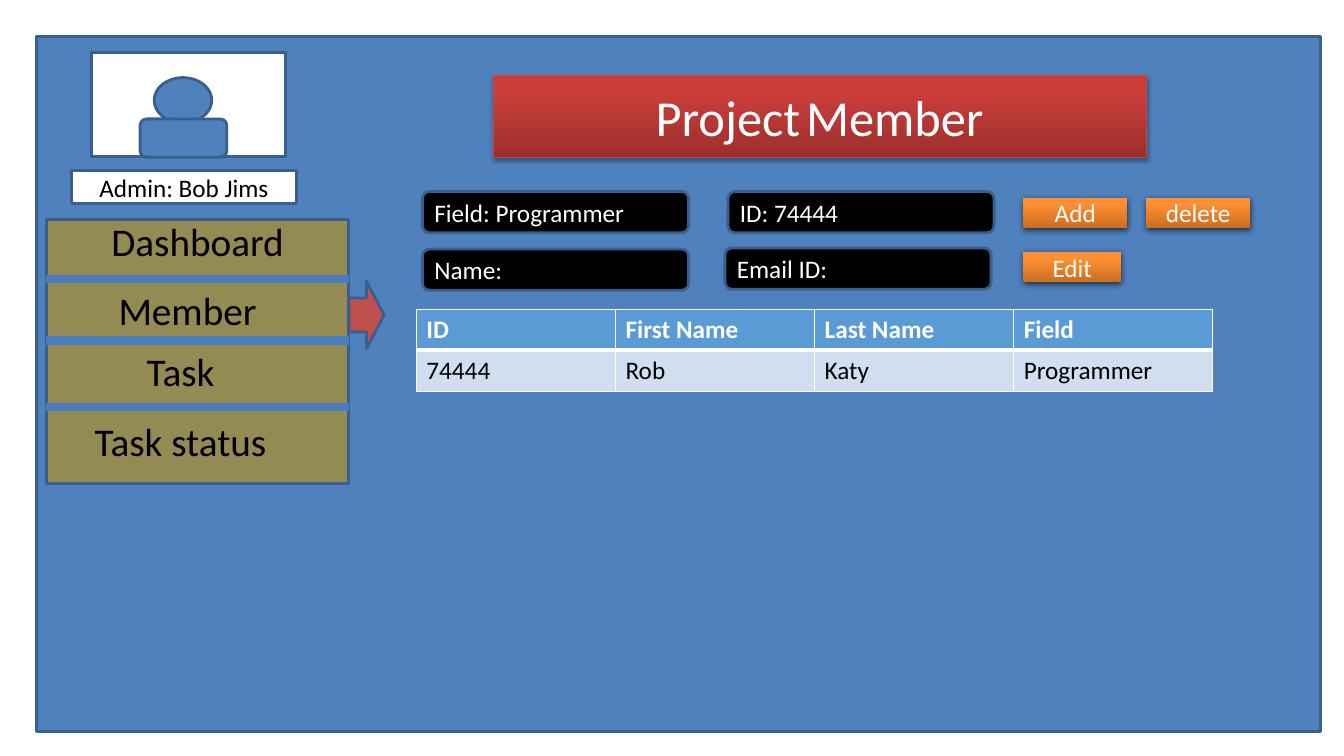
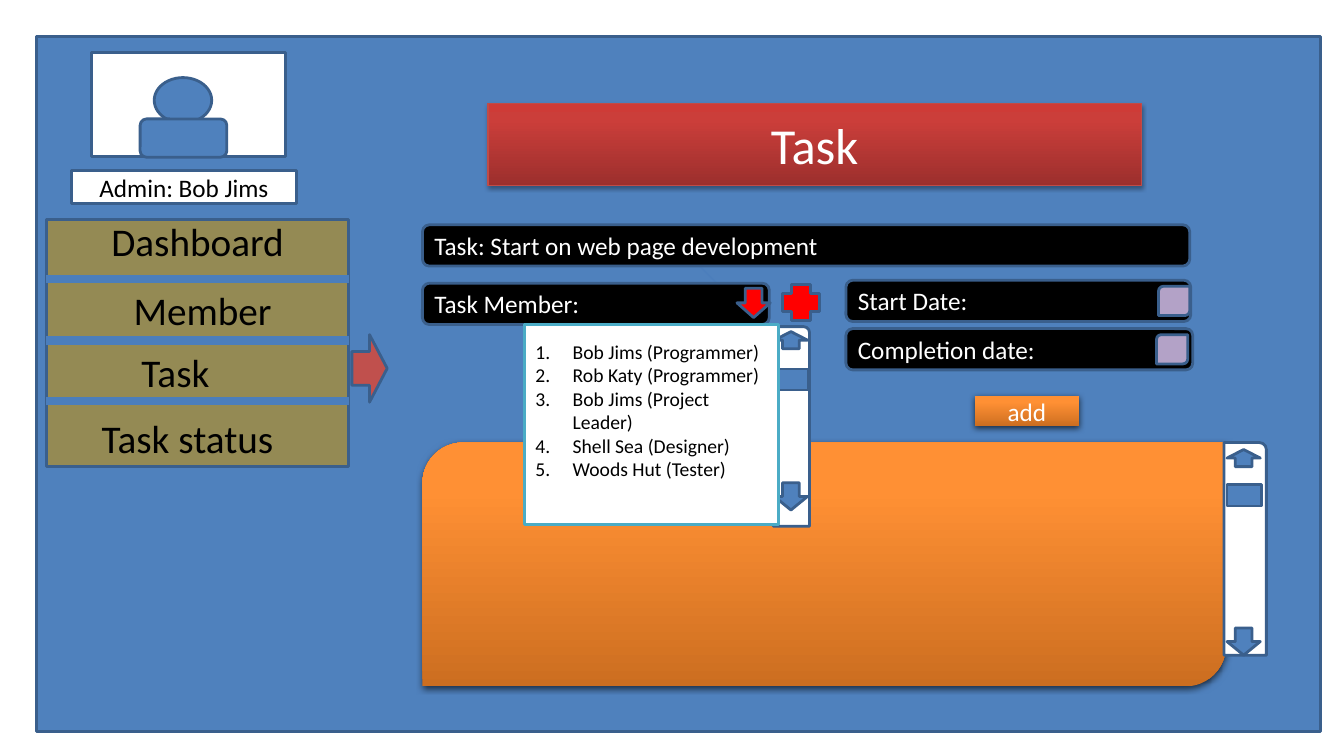
import copy

import lxml.etree
import pptx
import pptx.dml.color
import pptx.enum.shapes
import pptx.enum.text
import pptx.oxml.ns
import pptx.util

Inches, Pt = pptx.util.Inches, pptx.util.Pt
SHAPE = pptx.enum.shapes.MSO_SHAPE
ALIGN = pptx.enum.text.PP_ALIGN
ANCHOR = pptx.enum.text.MSO_ANCHOR
qn = pptx.oxml.ns.qn


class Theme:
    font = "Calibri"
    title_size, menu_size, text_size, list_size = 36, 28, 18, 14
    blue, outline, divider = "4F81BD", "3A5F8C", "4B7EBC"
    olive, pointer, red, lilac = "948A54", "C0504D", "FF0000", "B3A2C7"
    black, white = "000000", "FFFFFF"
    list_edge, banner_edge = "4BACC6", "BF4C48"
    table_head, table_row = "5B9BD5", "D1DEEF"
    # gradients run from bottom to top
    banner = ((0, "9C2F2D"), (0.8, "CB3E3A"), (1, "CE3B37"))
    orange = ((0, "CC6E20"), (0.8, "FF9034"), (1, "FF9136"))
    # alpha %, blur pt, distance pt
    banner_shadow, orange_shadow = (35, 3.1, 1.8), (63, 4.5, 1.5)
    outline_width = 2


ADMIN = "Admin: Bob Jims"
FAINT_LINES = [(4.63, 5.22, 5.15, 4.81), (6.81, 2.51, 7.81, 3.51)]
MENU_LEFT, MENU_TOP, MENU_WIDTH = 0.46, 2.18, 3
LABEL_HEIGHT, FIELD_HEIGHT, BUTTON_HEIGHT = 0.57, 0.41, 0.3

MEMBER_PAGE = {
    "title": [("Project", Theme.title_size), (" ", Theme.text_size), ("Member", Theme.title_size)],
    "banner": (4.89, 0.75, 6.48, 0.81),
    "menu_height": 2.62,
    "menu": [("Dashboard", 0.71, 2.11, 2.5), ("Member", 0.61, 2.79, 2.5),
             ("Task", 0.54, 3.4, 2.5), ("Task status", 0.54, 4.09, 2.5)],
    "dividers": [2.77, 3.38, 4.04],
    "pointer": (3.46, 2.79),
    "fields": [("Name:", 4.19, 2.47, 2.64), ("Field: Programmer", 4.19, 1.9, 2.64),
               ("Email ID:", 7.19, 2.46, 2.64), ("ID: 74444", 7.22, 1.9, 2.64)],
    "buttons": [("Edit", 10.15, 2.5, 0.97), ("delete", 11.37, 1.96, 1.03),
                ("Add", 10.15, 1.96, 1.03)],
}
MEMBERS = [("ID", "First Name", "Last Name", "Field"),
           ("74444", "Rob", "Katy", "Programmer")]

TASK_PAGE = {
    "title": [("Task", Theme.title_size)],
    "banner": (4.84, 1.03, 6.48, 0.81),
    "menu_height": 2.45,
    "menu": [("Dashboard", 0.71, 2.11, 2.5), ("Member", 0.61, 2.79, 2.8),
             ("Task", 0.49, 3.41, 2.5), ("Task status", 0.61, 4.06, 2.5)],
    "dividers": [2.77, 3.38, 3.98],
    "pointer": (3.49, 3.32),
    "fields": [("Task: Start on web page development", 4.19, 2.23, 7.61),
               ("Start Date:", 8.39, 2.78, 3.42), ("Task Member:", 4.19, 2.81, 3.44),
               ("Completion date:", 8.39, 3.26, 3.44)],
    "buttons": [("add", 9.67, 3.93, 1.03)],
}
CANDIDATES = ["Bob Jims (Programmer)", "Rob Katy (Programmer)", "Bob Jims (Project Leader)",
              "Shell Sea (Designer)", "Woods Hut (Tester)"]
CONTROLS = [(SHAPE.DOWN_ARROW, (7.31, 2.86, 0.33, 0.29), Theme.red),
            (SHAPE.CROSS, (7.76, 2.82, 0.37, 0.36), Theme.red),
            (SHAPE.ROUND_2_DIAG_RECTANGLE, (11.49, 2.84, 0.31, 0.29), Theme.lilac),
            (SHAPE.ROUND_2_DIAG_RECTANGLE, (11.47, 3.32, 0.31, 0.29), Theme.lilac)]


def rgb(code):
    return pptx.dml.color.RGBColor.from_string(code)


def inches(values):
    return [Inches(value) for value in values]


def write(paragraph, text, size, color, bold=False):
    run = paragraph.add_run()
    run.text = text
    run.font.name, run.font.size, run.font.bold = Theme.font, Pt(size), bold
    run.font.color.rgb = rgb(color)


def paint(shape, fill, line=None, width=Theme.outline_width, shadow=None):
    """Fill with one colour or with gradient stops; line and shadow are optional."""
    shape.shadow.inherit = False
    if isinstance(fill, str):
        shape.fill.solid()
        shape.fill.fore_color.rgb = rgb(fill)
    else:
        shape.fill.gradient()
        shape.fill.gradient_angle = 90
        stops = shape.element.spPr.find(".//" + qn("a:gsLst"))
        stops.append(copy.deepcopy(stops[-1]))
        for stop, (position, color) in zip(shape.fill.gradient_stops, fill):
            stop.position, stop.color.rgb = position, rgb(color)
    if line:
        shape.line.color.rgb = rgb(line)
        shape.line.width = Pt(width)
    else:
        shape.line.fill.background()
    if shadow:
        alpha, blur, distance = shadow
        effects = shape.element.spPr.find(qn("a:effectLst"))
        outer = lxml.etree.SubElement(effects, qn("a:outerShdw"), blurRad=str(Pt(blur)),
                                      dist=str(Pt(distance)), dir="5400000", rotWithShape="0")
        color = lxml.etree.SubElement(outer, qn("a:srgbClr"), val=Theme.black)
        lxml.etree.SubElement(color, qn("a:alpha"), val=str(alpha * 1000))


def add_box(slide, kind, at, fill, line=Theme.outline, shadow=None,
            text="", color=Theme.white, align=ALIGN.CENTER):
    box = slide.shapes.add_shape(kind, *inches(at))
    paint(box, fill, line, shadow=shadow)
    if text:
        box.text_frame.word_wrap = True
        box.text_frame.vertical_anchor = ANCHOR.MIDDLE
        box.text_frame.paragraphs[0].alignment = align
        write(box.text_frame.paragraphs[0], text, Theme.text_size, color)


def add_line(slide, ends, width):
    line = slide.shapes.add_connector(pptx.enum.shapes.MSO_CONNECTOR.STRAIGHT, *inches(ends))
    line.line.color.rgb = rgb(Theme.divider)
    line.line.width = Pt(width)
    lxml.etree.SubElement(line.element.spPr, qn("a:effectLst"))


def place(holder, at, anchor):
    """Move a placeholder to its spot, in front of everything drawn so far."""
    holder.left, holder.top, holder.width, holder.height = inches(at)
    holder.element.getparent().append(holder.element)
    holder.text_frame.word_wrap = True
    holder.text_frame.auto_size = pptx.enum.text.MSO_AUTO_SIZE.NONE
    holder.text_frame.vertical_anchor = anchor


def add_title(slide, page):
    title = slide.shapes.title
    place(title, page["banner"], ANCHOR.MIDDLE)
    outline = lxml.etree.Element(qn("a:prstGeom"), prst="roundRect")
    lxml.etree.SubElement(outline, qn("a:avLst"))
    title.element.spPr.find(qn("a:xfrm")).addnext(outline)
    paint(title, Theme.banner, Theme.banner_edge, 0.75, Theme.banner_shadow)
    heading = title.text_frame.paragraphs[0]
    heading.alignment = ALIGN.CENTER
    for text, size in page["title"]:
        write(heading, text, size, Theme.white)


def add_menu(slide, page):
    add_box(slide, SHAPE.RECTANGLE, (MENU_LEFT, MENU_TOP, MENU_WIDTH, page["menu_height"]),
            Theme.olive)
    for text, left, top, width in page["menu"]:
        label = slide.shapes.add_textbox(*inches((left, top, width, LABEL_HEIGHT)))
        label.text_frame.word_wrap = True
        label.text_frame.paragraphs[0].alignment = ALIGN.CENTER
        write(label.text_frame.paragraphs[0], text, Theme.menu_size, Theme.black)
    for y in page["dividers"]:
        add_line(slide, (MENU_LEFT, y, MENU_LEFT + MENU_WIDTH, y), 6)
    add_box(slide, SHAPE.RIGHT_ARROW, (*page["pointer"], 0.35, 0.67), Theme.pointer)


def add_admin(slide):
    add_box(slide, SHAPE.RECTANGLE, (0.91, 0.52, 1.92, 1.03), Theme.white)
    add_box(slide, SHAPE.OVAL, (1.53, 0.77, 0.57, 0.45), Theme.blue)
    add_box(slide, SHAPE.ROUNDED_RECTANGLE, (1.39, 1.18, 0.86, 0.38), Theme.blue)
    add_box(slide, SHAPE.RECTANGLE, (0.71, 1.69, 2.23, 0.33), Theme.white,
            text=ADMIN, color=Theme.black)


def add_page(deck, layout, page):
    """Draw what both screens have: panel, menu, admin, title, fields and buttons."""
    slide = deck.slides.add_slide(deck.slide_layouts.get_by_name(layout))
    add_box(slide, SHAPE.RECTANGLE, (0.36, 0.36, 12.74, 6.9), Theme.blue)
    add_menu(slide, page)
    add_admin(slide)
    for ends in FAINT_LINES:
        add_line(slide, ends, 0.75)
    add_title(slide, page)
    for text, left, top, width in page["fields"]:
        add_box(slide, SHAPE.ROUNDED_RECTANGLE, (left, top, width, FIELD_HEIGHT), Theme.black,
                text=text, align=ALIGN.LEFT)
    for text, left, top, width in page["buttons"]:
        add_box(slide, SHAPE.RECTANGLE, (left, top, width, BUTTON_HEIGHT), Theme.orange,
                line=None, shadow=Theme.orange_shadow, text=text)
    return slide


def set_borders(cell, bottom):
    sides = [("a:lnL", 0.96), ("a:lnR", 0.96), ("a:lnT", 0.96), ("a:lnB", bottom)]
    for position, (side, width) in enumerate(sides):
        border = lxml.etree.Element(qn(side), w=str(Pt(width)))
        fill = lxml.etree.SubElement(border, qn("a:solidFill"))
        lxml.etree.SubElement(fill, qn("a:srgbClr"), val=Theme.white)
        cell._tc.get_or_add_tcPr().insert(position, border)


def add_members(slide):
    rows, columns, row_height = len(MEMBERS), len(MEMBERS[0]), 0.4
    table = slide.shapes.add_table(rows, columns,
                                   *inches((4.13, 3.07, 7.9, rows * row_height))).table
    for r, values in enumerate(MEMBERS):
        head = r == 0
        for c, value in enumerate(values):
            cell = table.cell(r, c)
            cell.fill.solid()
            cell.fill.fore_color.rgb = rgb(Theme.table_head if head else Theme.table_row)
            write(cell.text_frame.paragraphs[0], value, Theme.text_size,
                  Theme.white if head else Theme.black, head)
            set_borders(cell, 3 if head else 0.96)


def add_scrollbar(slide, at, inset, up_drop, down_lift):
    """Offsets place the thumb and arrows from the left, top and bottom of the bar."""
    left, top, width, height = at
    x = left + inset
    add_box(slide, SHAPE.ROUND_1_RECTANGLE, at, Theme.white)
    for kind, y, part_width, part_height in (
            (SHAPE.UP_ARROW, top + up_drop, 0.33, 0.17),
            (SHAPE.DOWN_ARROW, top + height - down_lift, 0.33, 0.27),
            (SHAPE.RECTANGLE, top + 0.42, 0.34, 0.21)):
        add_box(slide, kind, (x, y, part_width, part_height), Theme.blue)


def add_candidates(slide):
    candidates = slide.placeholders[1]
    place(candidates, (5.2, 3.22, 2.52, 1.98), ANCHOR.TOP)
    paint(candidates, Theme.white, Theme.list_edge)
    frame = candidates.text_frame
    frame.margin_top = Inches(0.15)
    for i, name in enumerate(CANDIDATES):
        entry = frame.add_paragraph() if i else frame.paragraphs[0]
        entry.space_before = Pt(0)
        write(entry, name, Theme.list_size, Theme.black)
        numbering = entry._p.get_or_add_pPr()
        numbering.set("marL", str(Inches(0.38)))
        numbering.set("indent", str(Inches(-0.37)))
        lxml.etree.SubElement(numbering, qn("a:buFont"), typeface="+mj-lt")
        lxml.etree.SubElement(numbering, qn("a:buAutoNum"), type="arabicPeriod")


def main():
    deck = pptx.Presentation()
    deck.slide_width, deck.slide_height = Inches(13.33), Inches(7.5)

    add_members(add_page(deck, "Title Only", MEMBER_PAGE))

    task = add_page(deck, "Title and Content", TASK_PAGE)
    for kind, at, fill in CONTROLS:
        add_box(task, kind, at, fill)
    add_box(task, SHAPE.ROUND_2_DIAG_RECTANGLE, (4.19, 4.39, 7.97, 2.42), Theme.orange,
            line=None, shadow=Theme.orange_shadow)
    add_scrollbar(task, (12.14, 4.39, 0.42, 2.11), 0.03, 0.07, 0.27)
    add_scrollbar(task, (7.67, 3.24, 0.36, 1.98), 0.01, 0.05, 0.43)
    add_candidates(task)

    deck.save("out.pptx")


if __name__ == "__main__":
    main()
